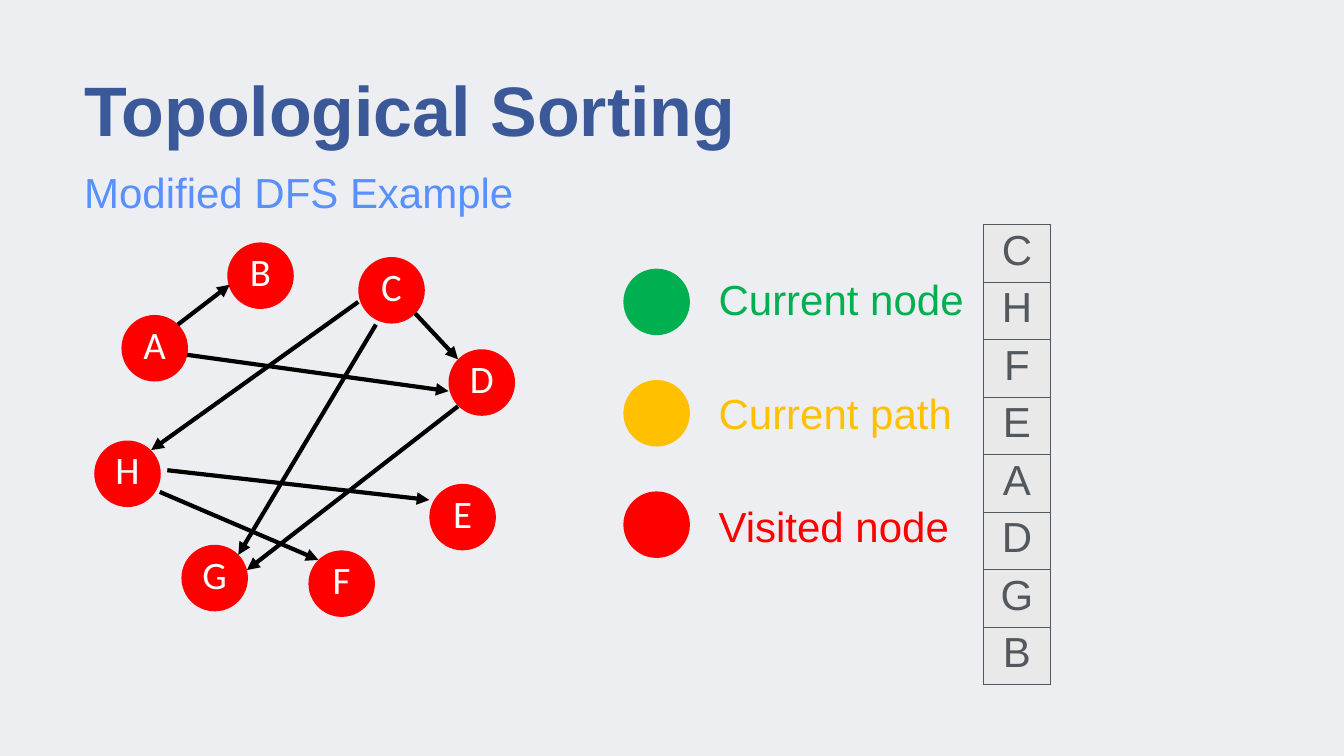
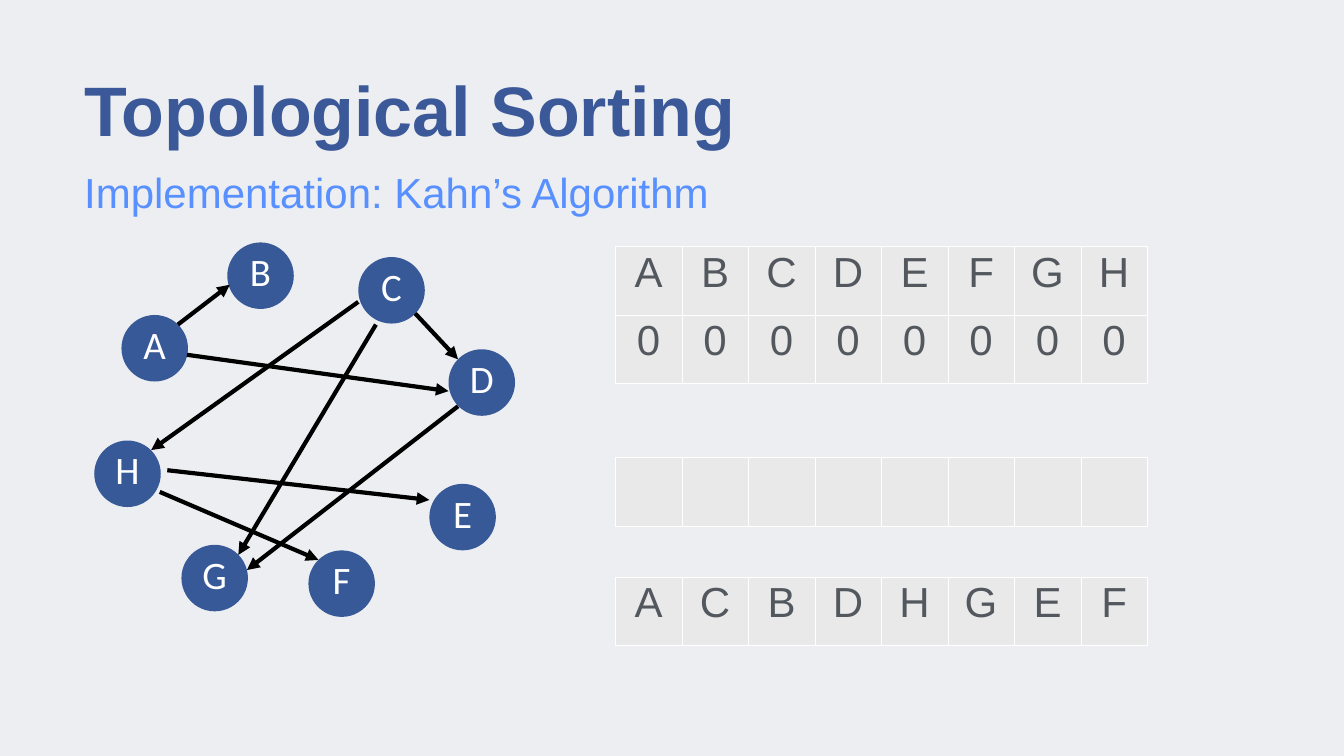
from lxml import etree
from pptx import Presentation
from pptx.dml.color import RGBColor
from pptx.enum.shapes import MSO_CONNECTOR, MSO_SHAPE
from pptx.enum.text import MSO_ANCHOR, PP_ALIGN
from pptx.oxml.ns import qn
from pptx.util import Inches, Pt

LEFT, CENTER = PP_ALIGN.LEFT, PP_ALIGN.CENTER
MIDDLE = MSO_ANCHOR.MIDDLE
OVAL, STRAIGHT = MSO_SHAPE.OVAL, MSO_CONNECTOR.STRAIGHT

BACKGROUND = RGBColor(0xED, 0xEE, 0xF1)
NAVY = RGBColor(0x3B, 0x59, 0x98)
SKY = RGBColor(0x58, 0x90, 0xFF)
NODE_BLUE = RGBColor(0x38, 0x59, 0x98)
RED = RGBColor(0xFF, 0x00, 0x00)
GREEN = RGBColor(0x00, 0xB0, 0x50)
AMBER = RGBColor(0xFF, 0xC0, 0x00)
GREY = RGBColor(0x53, 0x58, 0x5F)
CELL = RGBColor(0xE9, 0xE9, 0xE9)
WHITE = RGBColor(0xFF, 0xFF, 0xFF)
BLACK = RGBColor(0x00, 0x00, 0x00)

# Content
TITLE = "Topological Sorting"
DFS_SUBTITLE = "Modified DFS Example"
KAHN_SUBTITLE = "Implementation: Kahn’s Algorithm"

NODES = {
    "A": (2.41, 6.25), "B": (4.51, 4.81), "C": (7.11, 5.1), "H": (1.87, 8.74),
    "G": (3.6, 10.81), "F": (6.12, 10.92), "E": (8.52, 9.6), "D": (8.9, 6.93),
}
EDGES = [  # start x, y, end x, y
    (3.53, 6.44, 4.56, 5.65),   # A to B
    (3.71, 7.04, 8.9, 7.76),    # A to D
    (8.24, 6.22, 9.09, 7.13),   # C to D
    (7.46, 6.44, 4.73, 11.01),  # C to G
    (3.32, 9.33, 8.52, 9.92),   # H to E
    (3.17, 9.76, 6.32, 11.11),  # H to F
    (9.09, 8.06, 4.9, 11.31),   # D to G
    (7.11, 5.99, 3, 8.93),      # C to H
]
LEGEND = [("Current node", GREEN), ("Current path", AMBER), ("Visited node", RED)]
DFS_ORDER = "CHFEADGB"
KAHN_TABLES = [  # top, rows
    (4.89, ["ABCDEFGH", "0" * 8]),
    (9.08, [[""] * 8]),
    (11.45, ["ACBDHGEF"]),
]

NODE_SIZE = 1.32  # also the width of a table column
LEGEND_TOP, LEGEND_STEP = 5.33, 2.21


def write(tf, text, size=60, color=GREY, font="Arial", bold=False,
          align=LEFT, spacing=None, before=0, inset=0, new=False):
    """Write one formatted paragraph into a text frame."""
    tf.word_wrap = True
    tf.margin_left = tf.margin_right = Inches(inset)
    tf.margin_top = tf.margin_bottom = Inches(inset)
    p = tf.add_paragraph() if new else tf.paragraphs[0]
    p.alignment = align
    p.space_before = Pt(before)
    if spacing:
        p.line_spacing = spacing
    r = p.add_run()
    r.text = text
    r.font.name, r.font.size, r.font.bold = font, Pt(size), bold
    r.font.color.rgb = color


def add_text_box(s, x, y, w, h):
    tf = s.shapes.add_textbox(Inches(x), Inches(y), Inches(w), Inches(h)).text_frame
    tf.vertical_anchor = MIDDLE
    return tf


def add_circle(s, x, y, color):
    sp = s.shapes.add_shape(OVAL, Inches(x), Inches(y),
                            Inches(NODE_SIZE), Inches(NODE_SIZE))
    sp.shadow.inherit = False
    sp.fill.solid()
    sp.fill.fore_color.rgb = color
    sp.line.fill.background()
    return sp


def add_arrow(s, x1, y1, x2, y2):
    c = s.shapes.add_connector(STRAIGHT, Inches(x1), Inches(y1), Inches(x2), Inches(y2))
    c.line.color.rgb = BLACK
    c.line.width = Pt(6)
    sp_pr = c._element.spPr
    etree.SubElement(sp_pr.find(qn("a:ln")), qn("a:tailEnd"), type="triangle")
    etree.SubElement(sp_pr, qn("a:effectLst"))


def add_borders(cell, color):
    tc_pr = cell._tc.get_or_add_tcPr()
    for side in ("lnL", "lnR", "lnT", "lnB"):
        ln = etree.SubElement(tc_pr, qn("a:" + side), w=str(Pt(1)))
        fill = etree.SubElement(ln, qn("a:solidFill"))
        etree.SubElement(fill, qn("a:srgbClr"), val=str(color))


def add_grid(s, x, y, rows, row_height, border):
    n_rows, n_cols = len(rows), len(rows[0])
    table = s.shapes.add_table(n_rows, n_cols, Inches(x), Inches(y),
                               Inches(NODE_SIZE * n_cols),
                               Inches(row_height * n_rows)).table
    table.first_row = table.horz_banding = False
    for col in table.columns:
        col.width = Inches(NODE_SIZE)
    for i, row in enumerate(rows):
        table.rows[i].height = Inches(row_height)
        for j, text in enumerate(row):
            cell = table.cell(i, j)
            add_borders(cell, border)
            cell.fill.solid()
            cell.fill.fore_color.rgb = CELL
            if text:
                write(cell.text_frame, text, align=CENTER, inset=0.05)
                cell.margin_left = cell.margin_right = Inches(0.1)
                cell.margin_top = cell.margin_bottom = Inches(0.05)


def add_graph_slide(prs, subtitle, node_color):
    """Title, subtitle and the directed graph that both slides share."""
    s = prs.slides.add_slide(prs.slide_layouts[5])
    title = s.shapes.title
    title.left, title.top = Inches(1.67), Inches(1.14)
    title.width, title.height = Inches(23.33), Inches(2.01)
    title.text_frame.vertical_anchor = MIDDLE
    write(title.text_frame, TITLE, size=100, color=NAVY, bold=True)
    write(add_text_box(s, 1.67, 3.19, 23.33, 1.22), subtitle, color=SKY)

    for name, (x, y) in NODES.items():
        sp = add_circle(s, x, y, node_color)
        sp.text_frame.vertical_anchor = MIDDLE
        write(sp.text_frame, name, size=55.5, color=WHITE, font="Calibri",
              align=CENTER, spacing=0.8, inset=0.08)
    for edge in EDGES:
        add_arrow(s, *edge)
    return s


def add_legend(s):
    tf = add_text_box(s, 14.26, 5.36, 5, 5.55)
    for i, (label, color) in enumerate(LEGEND):
        add_circle(s, 12.37, LEGEND_TOP + i * LEGEND_STEP, color)
        write(tf, label, color=color, spacing=1.1, before=83 if i else 0, new=i > 0)


def main():
    prs = Presentation()
    prs.slide_width, prs.slide_height = Inches(26.67), Inches(15)
    fill = prs.slide_master.background.fill
    fill.solid()
    fill.fore_color.rgb = BACKGROUND

    # Depth-first search
    s = add_graph_slide(prs, DFS_SUBTITLE, RED)
    add_legend(s)
    add_grid(s, 19.52, 4.46, list(DFS_ORDER), 1.14, GREY)

    # Kahn's algorithm
    s = add_graph_slide(prs, KAHN_SUBTITLE, NODE_BLUE)
    for top, rows in KAHN_TABLES:
        add_grid(s, 12.21, top, rows, 1.36, WHITE)

    prs.save("out.pptx")


if __name__ == "__main__":
    main()
